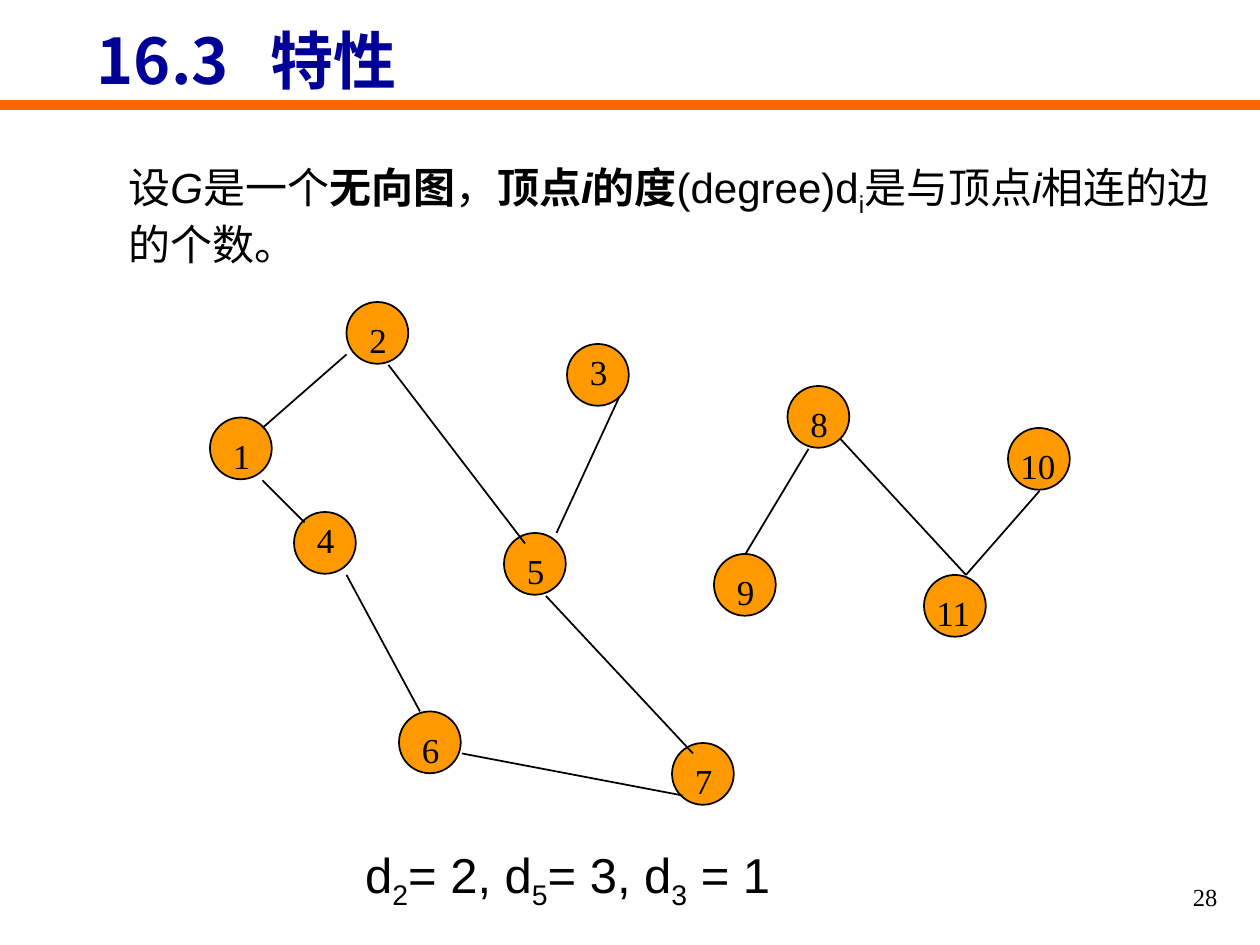
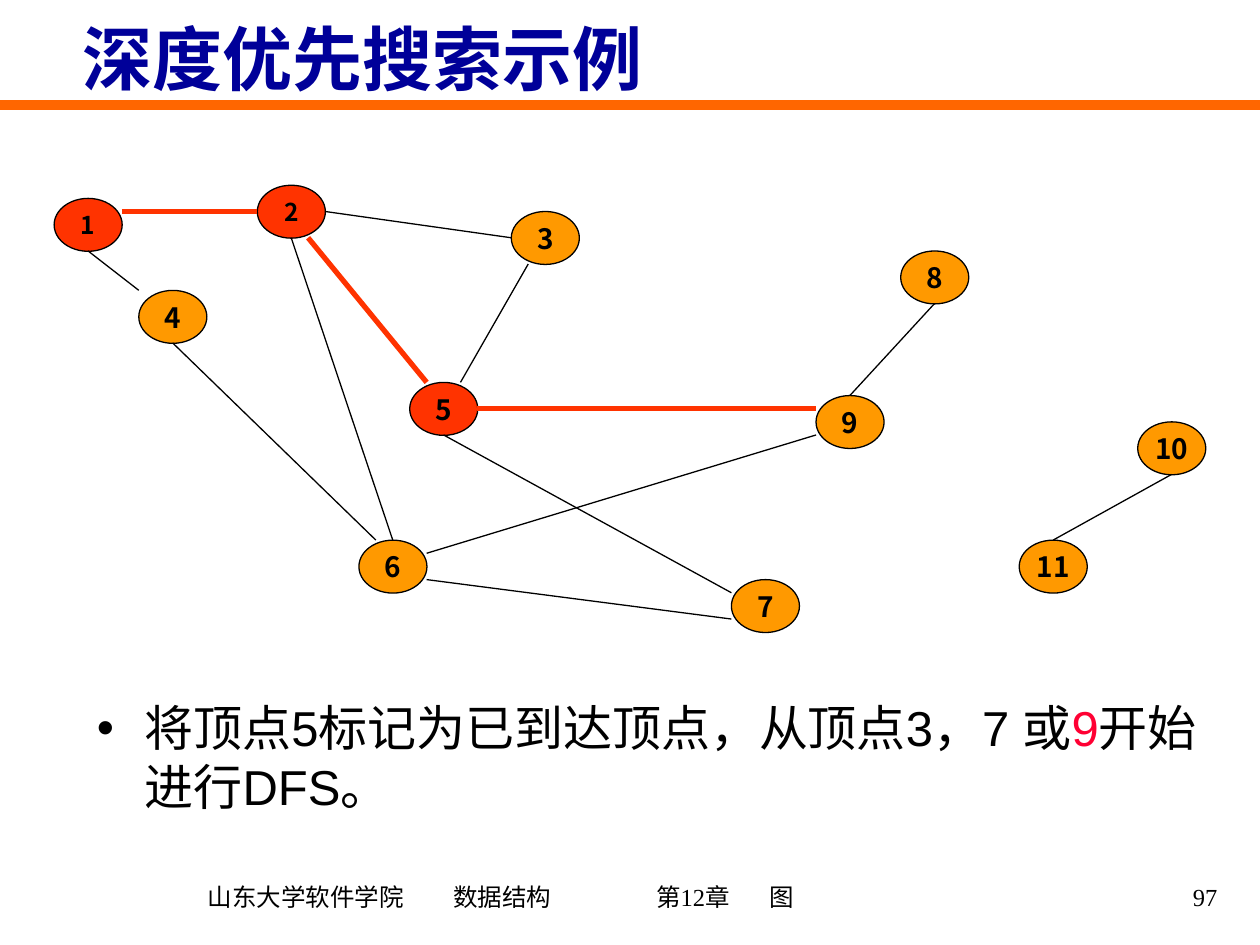
from lxml import etree
from pptx import Presentation
from pptx import util as u
from pptx.dml.color import RGBColor
from pptx.enum import shapes, text
from pptx.oxml import ns

BLACK = RGBColor(0x00, 0x00, 0x00)
NAVY = RGBColor(0x00, 0x00, 0x99)
BAND = RGBColor(0xFF, 0x66, 0x00)
ORANGE = RGBColor(0xFF, 0x99, 0x00)
REACHED = RGBColor(0xFF, 0x33, 0x00)
NEXT = RGBColor(0xFF, 0x00, 0x33)
SANS, SERIF = "Arial", "Times New Roman"
CJK, DIGITS = "Noto Sans CJK SC", "Noto Sans CJK KR"
WIDTH, HEIGHT = 10, 7.5
LEFT, CENTER, RIGHT = text.PP_ALIGN.LEFT, text.PP_ALIGN.CENTER, text.PP_ALIGN.RIGHT
TOP, MIDDLE, BOTTOM = (text.MSO_ANCHOR.TOP, text.MSO_ANCHOR.MIDDLE,
                       text.MSO_ANCHOR.BOTTOM)


def write(frame, runs, size, font=SANS, color=BLACK, align=LEFT, anchor=TOP, tabs=()):
    """Fill a frame with (words, marks) runs; marks: b bold, i italic, s subscript, n next vertex."""
    frame.word_wrap = True
    frame.vertical_anchor = anchor
    paragraph = frame.paragraphs[0]
    paragraph.alignment = align
    if tabs:
        stops = etree.SubElement(paragraph._p.get_or_add_pPr(), ns.qn("a:tabLst"))
        for stop in tabs:
            etree.SubElement(stops, ns.qn("a:tab"), pos=str(u.Inches(stop)), algn="l")
    for words, marks in runs:
        run = paragraph.add_run()
        run.text = words
        run.font.size = u.Pt(size)
        run.font.name = font
        run.font.bold = "b" in marks
        run.font.italic = "i" in marks
        run.font.color.rgb = NEXT if "n" in marks else color
        properties = run.font._element
        etree.SubElement(properties, ns.qn("a:ea"), typeface=CJK)
        if "s" in marks:
            properties.set("baseline", "-25000")
    return paragraph


def draw_line(slide, start, end, color, weight):
    line = slide.shapes.add_connector(
        shapes.MSO_CONNECTOR.STRAIGHT, *[u.Inches(v) for v in (*start, *end)])
    line.line.color.rgb = color
    line.line.width = u.Pt(weight)
    etree.SubElement(line._element.spPr, ns.qn("a:effectLst"))


deck = Presentation()
deck.slide_width, deck.slide_height = u.Inches(WIDTH), u.Inches(HEIGHT)
degree, search = [deck.slides.add_slide(deck.slide_layouts[6]) for _ in range(2)]
for slide in (degree, search):
    draw_line(slide, (0, HEIGHT / 9), (WIDTH, HEIGHT / 9), BAND, 6)

# Graphs: vertices as (column, row) of the top left cell, edges as cell corners
degree_graph = dict(
    slide=degree, origin=(0, -0.02), cell=(1 / 12, 1 / 12), size=(0.49, 0.49), weight=1,
    vertices={1: (20, 40), 2: (33, 29), 3: (54, 33), 8: (75, 37), 10: (96, 41),
              4: (28, 49), 5: (48, 51), 9: (68, 53), 11: (88, 55), 6: (38, 68),
              7: (64, 71)},
    edges=[(33, 34, 25, 41), (37, 35, 50, 52), (25, 46, 29, 50), (33, 55, 40, 68),
           (44, 72, 65, 76), (59, 38, 53, 51), (52, 57, 66, 72), (77, 43, 71, 53),
           (80, 42, 92, 55), (92, 55, 99, 47)],
    reached=(), walked=())
search_graph = dict(
    slide=search, origin=(0.43, 1.47), cell=(8.6 / 64, 3.13 / 30), size=(0.54, 0.42),
    weight=0.75,
    vertices={2: (12, 0), 3: (27, 2), 5: (21, 15), 4: (5, 8), 1: (0, 1), 8: (50, 5),
              9: (45, 16), 6: (18, 27), 7: (40, 30), 11: (57, 27), 10: (64, 18)},
    edges=[(4, 2, 12, 2), (2, 5, 5, 8), (16, 2, 27, 4), (28, 6, 24, 15),
           (15, 4, 22, 15), (52, 9, 47, 16), (45, 19, 22, 28), (66, 22, 59, 27),
           (7, 12, 19, 27), (14, 4, 20, 27), (23, 19, 40, 31), (25, 17, 45, 17),
           (22, 30, 40, 33)],
    reached=(1, 2, 5), walked=(0, 4, 11))

for graph in (degree_graph, search_graph):
    slide = graph["slide"]
    (left, top), (column, row) = graph["origin"], graph["cell"]
    for number, (x, y) in graph["vertices"].items():
        vertex = slide.shapes.add_shape(
            shapes.MSO_SHAPE.OVAL, u.Inches(left + x * column), u.Inches(top + y * row),
            *[u.Inches(v) for v in graph["size"]])
        vertex.shadow.inherit = False
        vertex.fill.solid()
        vertex.fill.fore_color.rgb = REACHED if number in graph["reached"] else ORANGE
        vertex.line.color.rgb = BLACK
        vertex.line.width = u.Pt(graph["weight"])
        if slide is search:
            write(vertex.text_frame, [(str(number), "b")], 14 if number < 3 else 16,
                  DIGITS, align=CENTER, anchor=MIDDLE)
            vertex.text_frame.word_wrap = False
    for index, (x1, y1, x2, y2) in enumerate(graph["edges"]):
        walked = index in graph["walked"]
        draw_line(slide, (left + x1 * column, top + y1 * row),
                  (left + x2 * column, top + y2 * row),
                  REACHED if walked else BLACK, 3 if walked else graph["weight"])

# Vertex numbers of the degree graph: most sit one row down, single digits one column in
(left, top), (column, row) = degree_graph["origin"], degree_graph["cell"]
for number, (x, y) in degree_graph["vertices"].items():
    x += number < 10
    y += number not in (3, 4)
    label = degree.shapes.add_textbox(
        u.Inches(left + x * column), u.Inches(top + y * row),
        u.Inches((3 if number < 10 else 6) * column), u.Inches(0.43))
    write(label.text_frame, [(str(number), "")], 20, SERIF)

# Text boxes: slide, place in percent of the slide, runs, size, style
definition = [
    ("设", ""), ("G", "i"), ("是一个", ""), ("无向图", "b"), ("，", ""), ("顶点", "b"),
    ("i", "bi"), ("的度", "b"), ("(degree)d", ""), ("i", "s"), ("是与顶点", ""),
    ("i", "i"), ("相连的边的个数。", "")]
degrees = [("d", ""), ("2", "s"), ("= 2, d", ""), ("5", "s"), ("= 3, d", ""),
           ("3", "s"), (" = 1", "")]
step = [("将顶点5标记为已到达顶点，从顶点3，7 或", ""), ("9", "n"), ("开始进行DFS。", "")]
course = [("山东大学软件学院\t数据结构\t第12章\t图", "")]
page = dict(font=SERIF, align=RIGHT, anchor=MIDDLE)
page_place = (76.8, 91.6, 20.8, 6.67)
boxes = [
    (degree, (6.7, -0.4, 85, 13.33), [("16.3\t特性", "b")], 36,
     dict(font=CJK, color=NAVY, anchor=MIDDLE, tabs=[1.38])),
    (degree, (9.2, 16.4, 88.9, 12.8), definition, 24, {}),
    (degree, (28, 88.67, 45.6, 8.4), degrees, 28, {}),
    (degree, page_place, [("28", "")], 14, page),
    (search, (15.5, 91.47, 56.6, 6.8), course, 14,
     dict(font=SERIF, anchor=MIDDLE, tabs=[1.95, 3.56, 4.46])),
    (search, page_place, [("97", "")], 14, page),
    (search, (5.6, 2.4, 87.5, 8.93), [("深度优先搜索示例", "b")], 40,
     dict(color=NAVY, anchor=BOTTOM)),
]
for slide, (x, y, w, h), runs, size, style in boxes:
    box = slide.shapes.add_textbox(
        u.Inches(WIDTH * x / 100), u.Inches(HEIGHT * y / 100),
        u.Inches(WIDTH * w / 100), u.Inches(HEIGHT * h / 100))
    heading = write(box.text_frame, runs, size, **style)
heading.line_spacing = 0.9

# Bulleted step under the search graph
box = search.shapes.add_textbox(
    u.Inches(WIDTH * 0.067), u.Inches(HEIGHT * 0.732),
    u.Inches(WIDTH * 0.898), u.Inches(HEIGHT * 0.177))
indent = box.text_frame.paragraphs[0]._p.get_or_add_pPr()
indent.set("marL", str(u.Inches(0.38)))
indent.set("indent", str(u.Inches(-0.38)))
etree.SubElement(indent, ns.qn("a:buFont"), typeface=SANS)
etree.SubElement(indent, ns.qn("a:buChar"), char="•")
write(box.text_frame, step, 28)

deck.save("out.pptx")
